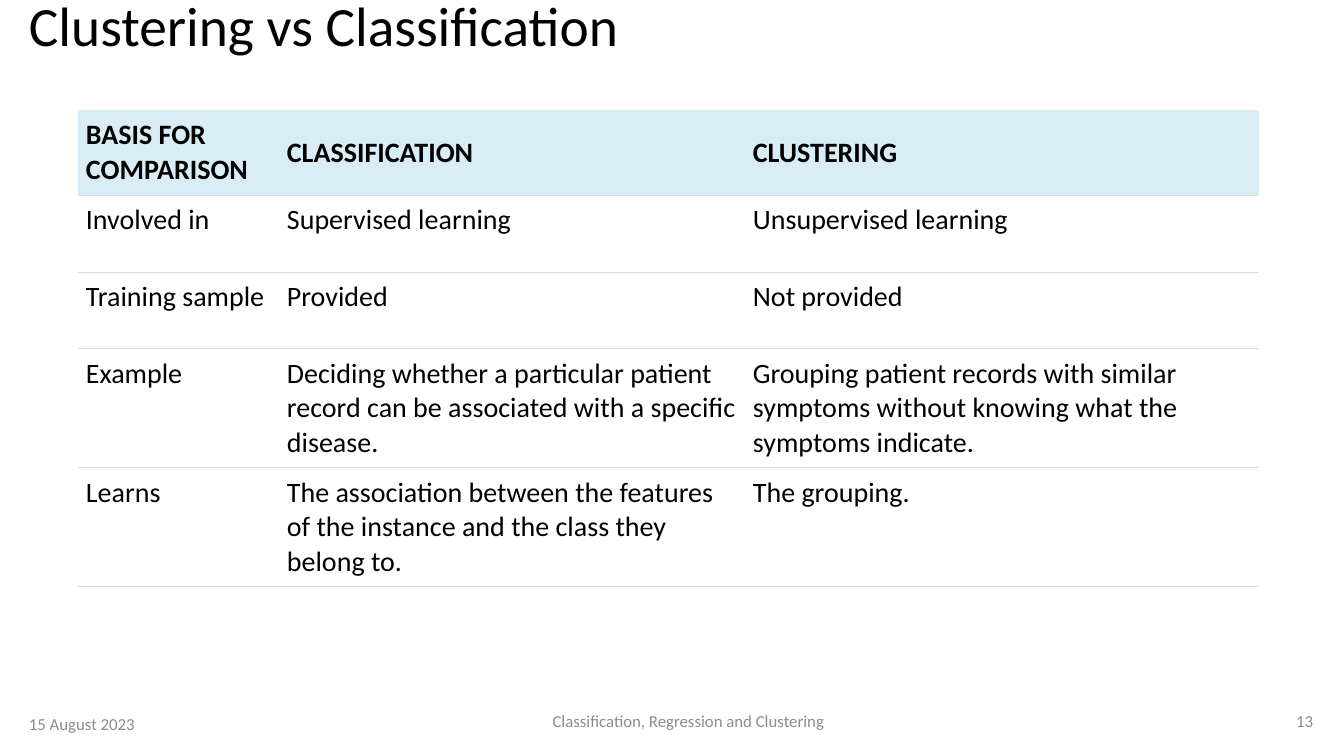
from dataclasses import dataclass

from lxml.etree import SubElement
from pptx import Presentation
from pptx.dml.color import RGBColor
from pptx.enum.text import MSO_ANCHOR, PP_ALIGN
from pptx.oxml.ns import qn
from pptx.util import Emu, Pt

BLACK = RGBColor(0x00, 0x00, 0x00)
GREY = RGBColor(0x8C, 0x8C, 0x8C)
WHITE = RGBColor(0xFF, 0xFF, 0xFF)
HEADER_BLUE = RGBColor(0xD9, 0xED, 0xF7)
RULE_GREY = RGBColor(0xDD, 0xDD, 0xDD)
FONT = "Calibri"
CELL_MARGIN = 8


@dataclass
class Label:
    text: str
    left: int
    top: int
    width: int
    height: int
    size: float = 12
    color: RGBColor = GREY
    align: PP_ALIGN = PP_ALIGN.LEFT
    spacing: float = 1.0


@dataclass
class Row:
    height: int
    cells: tuple[str, str, str]


LABELS = [
    Label("Clustering vs Classification", 19, 0, 1304, 58, 39.6, BLACK, spacing=0.9),
    Label("15 August 2023", 19, 704, 204, 40),
    Label("Classification, Regression and Clustering", 236, 701, 905, 40,
          align=PP_ALIGN.CENTER),
    Label("13", 1154, 701, 169, 40, align=PP_ALIGN.RIGHT),
]
COLUMN_WIDTHS = [201, 466, 514]
ROWS = [
    Row(85, ("BASIS FOR COMPARISON", "CLASSIFICATION", "CLUSTERING")),
    Row(77, ("Involved in", "Supervised learning", "Unsupervised learning")),
    Row(77, ("Training sample", "Provided", "Not provided")),
    Row(119, ("Example",
              "Deciding whether a particular patient record can be associated "
              "with a specific disease.",
              "Grouping patient records with similar symptoms without knowing "
              "what the symptoms indicate.")),
    Row(119, ("Learns",
              "The association between the features of the instance and the "
              "class they belong to.",
              "The grouping.")),
]


def px(n: int) -> Emu:
    return Emu(round(n * 914400 / 100.8))


def style_paragraph(p, size: float, color: RGBColor, bold: bool = False) -> None:
    p.font.name = FONT
    p.font.size = Pt(size)
    p.font.color.rgb = color
    p.font.bold = bold


def add_label(s, label: Label) -> None:
    box = s.shapes.add_textbox(px(label.left), px(label.top),
                               px(label.width), px(label.height))
    tf = box.text_frame
    tf.word_wrap = True
    tf.vertical_anchor = MSO_ANCHOR.MIDDLE
    p = tf.paragraphs[0]
    p.text = label.text
    p.alignment = label.align
    p.line_spacing = label.spacing
    style_paragraph(p, label.size, label.color)


def set_borders(cell, ruled: str) -> None:
    """Rule the named sides (T, B) and clear the others."""
    tc_pr = cell._tc.get_or_add_tcPr()
    for side in "LRTB":
        ln = SubElement(tc_pr, qn(f"a:ln{side}"), w=str(Pt(0.75)))
        if side in ruled:
            fill = SubElement(ln, qn("a:solidFill"))
            SubElement(fill, qn("a:srgbClr"), val=str(RULE_GREY))
        else:
            SubElement(ln, qn("a:noFill"))


def fill_cell(cell, text: str, header: bool) -> None:
    set_borders(cell, "B" if header else "TB")
    cell.fill.solid()
    cell.fill.fore_color.rgb = HEADER_BLUE if header else WHITE
    cell.margin_left = cell.margin_right = px(CELL_MARGIN)
    cell.margin_top = cell.margin_bottom = px(CELL_MARGIN)
    cell.vertical_anchor = MSO_ANCHOR.MIDDLE if header else MSO_ANCHOR.TOP
    p = cell.text_frame.paragraphs[0]
    p.text = text
    style_paragraph(p, 20, BLACK, header)


def add_comparison(s, left: int, top: int) -> None:
    table = s.shapes.add_table(
        len(ROWS), len(COLUMN_WIDTHS), px(left), px(top),
        px(sum(COLUMN_WIDTHS)), px(sum(row.height for row in ROWS))).table
    table.first_row = table.horz_banding = False
    for column, width in zip(table.columns, COLUMN_WIDTHS):
        column.width = px(width)
    for i, row in enumerate(ROWS):
        table.rows[i].height = px(row.height)
        for j, text in enumerate(row.cells):
            fill_cell(table.cell(i, j), text, header=i == 0)


prs = Presentation()
prs.slide_width, prs.slide_height = px(1344), px(756)
s = prs.slides.add_slide(prs.slide_layouts[6])

# Title and footer
for label in LABELS:
    add_label(s, label)

# Comparison table
add_comparison(s, 78, 110)

prs.save("out.pptx")
